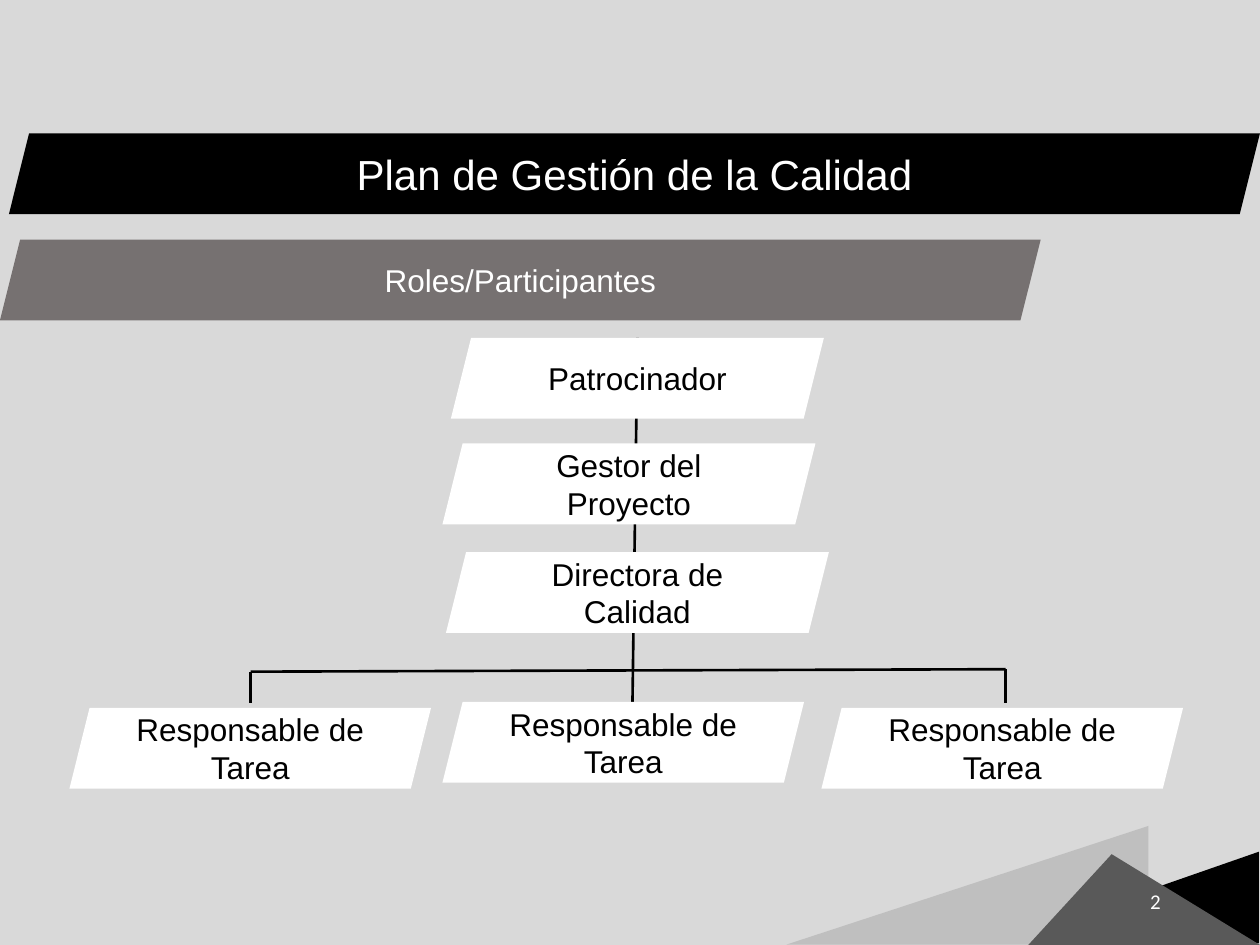
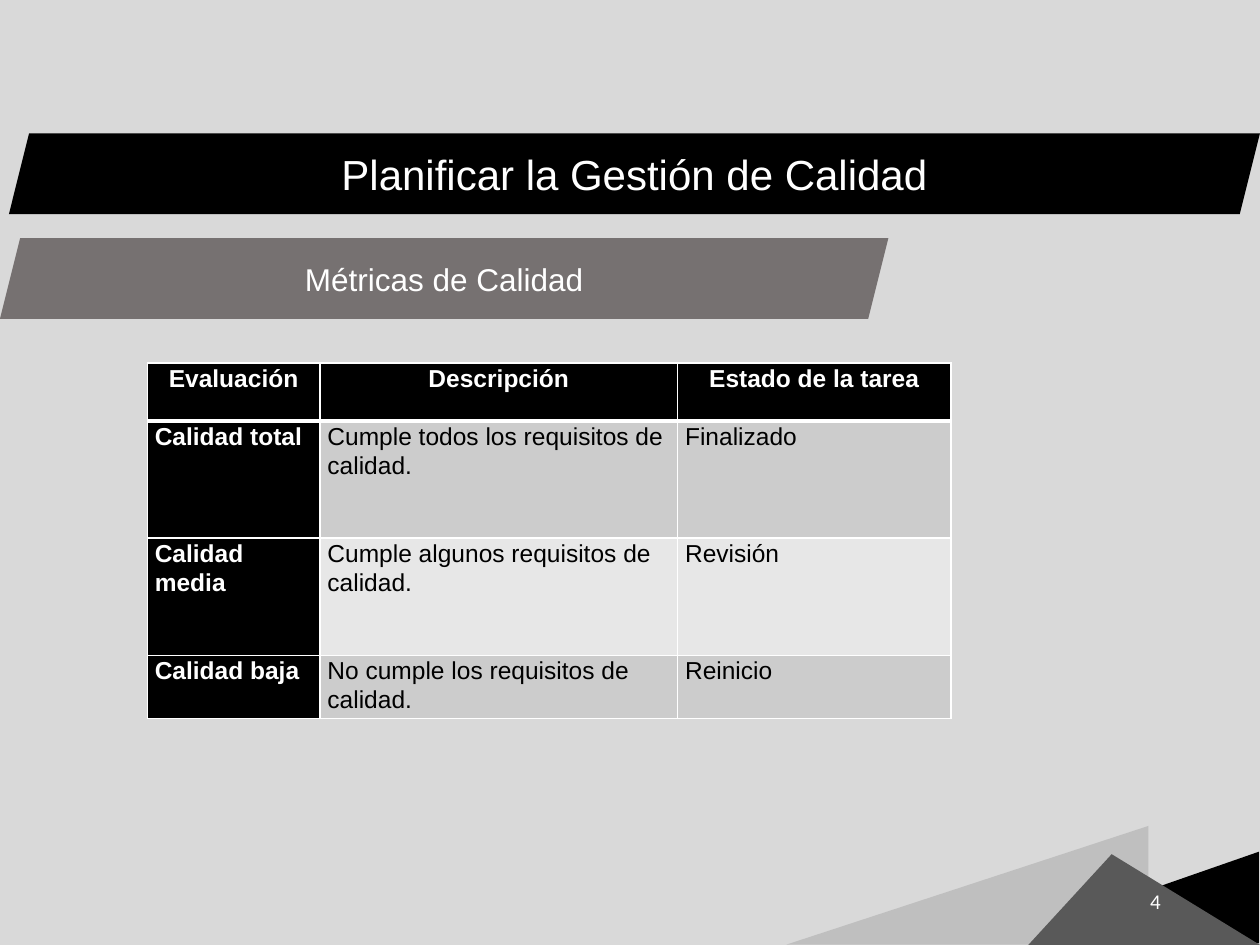
from dataclasses import dataclass
from typing import NamedTuple

from lxml import etree
from pptx import Presentation
from pptx import util as u
from pptx.dml.color import RGBColor
from pptx.enum import shapes, text
from pptx.oxml.ns import qn
from pptx.util import Cm


@dataclass(frozen=True)
class Theme:
    black: str = "000000"
    white: str = "FFFFFF"
    background: str = "D9D9D9"
    subtitle: str = "767171"
    pale_peak: str = "BFBFBF"
    dark_peak: str = "595959"
    row_shades: tuple[str, str] = ("CCCCCC", "E7E7E7")
    font: str = "Arial"
    number_font: str = "Calibri"
    title_size: int = 24
    body_size: int = 18
    table_size: int = 14
    number_size: int = 12
    line_width: float = 1.5


# All positions and sizes below are in centimetres
class Box(NamedTuple):
    left: float
    top: float
    width: float
    height: float

    def lengths(self) -> tuple:
        return tuple(Cm(v) for v in self)


class Peak(NamedTuple):
    box: Box
    apex: float
    color: str
    rotation: int = 0


class Role(NamedTuple):
    name: str
    left: float
    top: float
    width: float


class Line(NamedTuple):
    x1: float
    y1: float
    x2: float
    y2: float


THEME = Theme()
BAND_HEIGHT = 1.63
TITLE_BOX = Box(0.18, 2.69, 25.22, BAND_HEIGHT)
NUMBER_BOX = Box(17.93, 17.65, 5.72, 1.02)
PEAKS = [
    Peak(Box(20.07, 17.17, 5.31, 1.85), 1, THEME.black),
    Peak(Box(18.31, 14.2, 2.39, 7.29), 0, THEME.pale_peak, 270),
    Peak(Box(20.73, 17.22, 4.67, 1.83), 0.36, THEME.dark_peak),
]

TASK_ROLE = "Responsable de Tarea"
TASK_WIDTH = 7.29
ROLES = [
    Role("Patrocinador", 9.09, 6.81, 7.52),
    Role("Gestor del Proyecto", 8.92, 8.94, 7.52),
    Role("Directora de Calidad", 8.99, 11.13, 7.72),
    Role(TASK_ROLE, 1.4, 14.27, TASK_WIDTH),
    Role(TASK_ROLE, 8.92, 14.15, TASK_WIDTH),
    Role(TASK_ROLE, 16.56, 14.27, TASK_WIDTH),
]
ROLE_LINES = [
    Line(5.05, 14.17, 5.05, 13.54),
    Line(5.05, 13.54, 20.27, 13.49),
    Line(20.27, 13.49, 20.27, 14.17),
    Line(12.85, 6.81, 12.75, 14.15),
]

METRICS = [
    ("Evaluación", "Descripción", "Estado de la tarea"),
    ("Calidad total", "Cumple todos los requisitos de calidad.", "Finalizado"),
    ("Calidad media", "Cumple algunos requisitos de calidad.", "Revisión"),
    ("Calidad baja", "No cumple los requisitos de calidad.", "Reinicio"),
]
METRIC_COLUMNS = (3.48, 7.21, 5.51)
METRIC_ROWS = (1.17, 2.36, 2.36, 1.27)


def rgb(color: str) -> RGBColor:
    return RGBColor.from_string(color)


def style(p, size: int, color: str, align=text.PP_ALIGN.CENTER,
          font: str = THEME.font, bold: bool = False) -> None:
    p.alignment = align
    p.font.name, p.font.size, p.font.bold = font, u.Pt(size), bold
    p.font.color.rgb = rgb(color)


def add_shape(slide, kind, box: Box, color: str):
    sp = slide.shapes.add_shape(kind, *box.lengths())
    sp.shadow.inherit = False
    sp.fill.solid()
    sp.fill.fore_color.rgb = rgb(color)
    sp.line.fill.background()
    return sp


def add_band(slide, box: Box, fill: str, label: str = "", color: str = THEME.white) -> None:
    sp = add_shape(slide, shapes.MSO_SHAPE.PARALLELOGRAM, box, fill)
    if label:
        tf = sp.text_frame
        tf.word_wrap = True
        tf.vertical_anchor = text.MSO_ANCHOR.MIDDLE
        tf.text = label
        style(tf.paragraphs[0], THEME.body_size, color)


def add_line(slide, line: Line) -> None:
    cxn = slide.shapes.add_connector(shapes.MSO_CONNECTOR.STRAIGHT, *(Cm(v) for v in line))
    cxn.line.color.rgb = rgb(THEME.black)
    cxn.line.width = u.Pt(THEME.line_width)
    etree.SubElement(cxn._element.spPr, qn("a:effectLst"))


def add_title(slide, title: str) -> None:
    add_band(slide, TITLE_BOX, THEME.black)
    sp = slide.shapes.title
    sp.left, sp.top, sp.width, sp.height = TITLE_BOX.lengths()
    tf = sp.text_frame
    tf.text = title
    tf.vertical_anchor = text.MSO_ANCHOR.MIDDLE
    style(tf.paragraphs[0], THEME.title_size, THEME.white)
    slide.shapes._spTree.append(sp._element)  # bring in front of its band


def add_base_slide(prs, title: str, subtitle: str, subtitle_top: float,
                   subtitle_width: float, number: int):
    """Add a slide with the corner peaks, page number, title and subtitle."""
    slide = prs.slides.add_slide(prs.slide_layouts[5])
    for peak in PEAKS:
        sp = add_shape(slide, shapes.MSO_SHAPE.ISOSCELES_TRIANGLE, peak.box, peak.color)
        sp.adjustments[0] = peak.apex
        sp.rotation = peak.rotation
    tf = slide.shapes.add_textbox(*NUMBER_BOX.lengths()).text_frame
    tf.word_wrap = True
    tf.vertical_anchor = text.MSO_ANCHOR.MIDDLE
    tf.text = str(number)
    style(tf.paragraphs[0], THEME.number_size, THEME.white,
          text.PP_ALIGN.RIGHT, THEME.number_font)
    add_title(slide, title)
    add_band(slide, Box(0, subtitle_top, subtitle_width, BAND_HEIGHT), THEME.subtitle, subtitle)
    return slide


def set_borders(cell, header: bool, below_header: bool) -> None:
    tc_pr = cell._tc.get_or_add_tcPr()
    widths = {"L": 1, "R": 1, "T": 3 if below_header else 1, "B": 3 if header else 1}
    for side, width in widths.items():
        ln = etree.SubElement(tc_pr, qn(f"a:ln{side}"), w=str(u.Pt(width)))
        fill = etree.SubElement(ln, qn("a:solidFill"))
        etree.SubElement(fill, qn("a:srgbClr"), val=THEME.white)


def add_metrics(slide) -> None:
    box = Box(2.97, 7.32, sum(METRIC_COLUMNS), sum(METRIC_ROWS))
    table = slide.shapes.add_table(len(METRICS), len(METRIC_COLUMNS), *box.lengths()).table
    for column, width in zip(table.columns, METRIC_COLUMNS):
        column.width = Cm(width)
    for row, height in zip(table.rows, METRIC_ROWS):
        row.height = Cm(height)
    for i, values in enumerate(METRICS):
        for j, value in enumerate(values):
            cell = table.cell(i, j)
            header, strong = i == 0, i == 0 or j == 0
            set_borders(cell, header, i == 1)
            cell.fill.solid()
            cell.fill.fore_color.rgb = rgb(
                THEME.black if strong else THEME.row_shades[(i - 1) % 2])
            cell.margin_left = cell.margin_right = Cm(0.15)
            cell.margin_top = cell.margin_bottom = 0
            cell.text = value
            p = cell.text_frame.paragraphs[0]
            p.line_spacing = 1.07
            style(p, THEME.table_size, THEME.white if strong else THEME.black,
                  text.PP_ALIGN.CENTER if header else text.PP_ALIGN.LEFT, bold=strong)


def main() -> None:
    prs = Presentation()
    prs.slide_width, prs.slide_height = Cm(25.4), Cm(19.05)
    background = prs.slide_master.background.fill
    background.solid()
    background.fore_color.rgb = rgb(THEME.background)

    # Roles chart
    slide = add_base_slide(prs, "Plan de Gestión de la Calidad",
                           "Roles/Participantes", 4.83, 20.98, 2)
    for line in ROLE_LINES:
        add_line(slide, line)
    for role in ROLES:
        add_band(slide, Box(role.left, role.top, role.width, BAND_HEIGHT),
                 THEME.white, role.name, THEME.black)

    # Quality metrics
    slide = add_base_slide(prs, "Planificar la Gestión de Calidad",
                           "Métricas de Calidad", 4.8, 17.91, 4)
    add_metrics(slide)

    prs.save("out.pptx")


if __name__ == "__main__":
    main()
